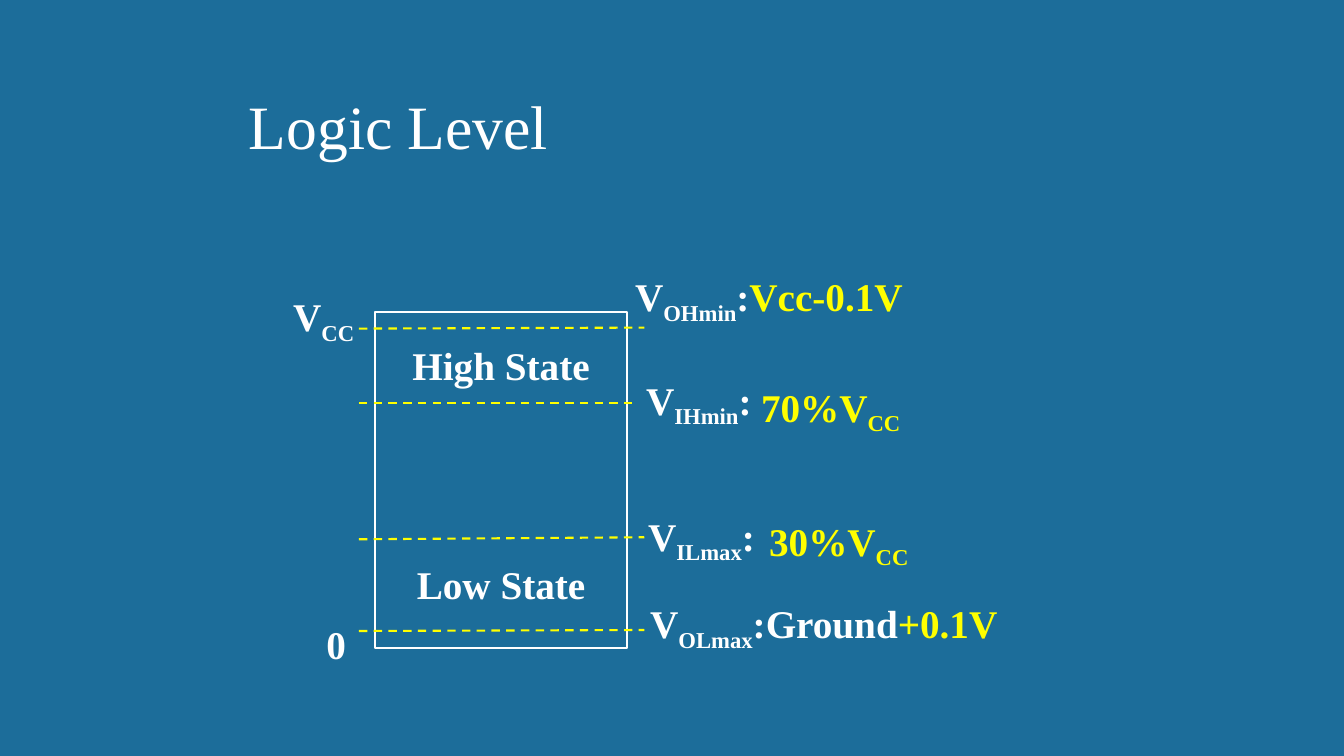
from pptx import Presentation
from pptx.dml.color import RGBColor
from pptx.enum import dml, shapes, text
from pptx.oxml import xmlchemy
from pptx.util import Inches, Pt

BLUE = RGBColor(0x1C, 0x6D, 0x9A)
WHITE = RGBColor(0xFF, 0xFF, 0xFF)
YELLOW = RGBColor(0xFF, 0xFF, 0x00)
FONT = "Times New Roman"
LABEL_SIZE, TITLE_SIZE = 28, 44
LINE_WIDTH = Pt(1.5)

TITLE = ("Logic Level", (2.37, 0.82, 3.2, 0.84))
LEVEL_RANGE = (3.72, 3.1, 2.5, 3.33)
STATES = [("High State", 1.5, 0), ("Low State", 1.1, 120)]
THRESHOLD_LEFT = 3.56
THRESHOLDS = [(3.26, 6.39, 3.25), (4, 6.31, 4), (5.35, 6.39, 5.33), (6.26, 6.39, 6.25)]

LABEL_HEIGHT = 0.57
LABELS = [
    (2.81, 2.85, 1.17, [("V", WHITE, False), ("CC", WHITE, True)]),
    (3.14, 6.1, 0.5, [("0", WHITE, False)]),
    (6.2, 2.65, 3.78, [("V", WHITE, False), ("OHmin", WHITE, True),
                       (":", WHITE, False), ("Vcc-0.1V", YELLOW, False)]),
    (6.31, 3.68, 1.36, [("V", WHITE, False), ("IHmin", WHITE, True), (":", WHITE, False)]),
    (7.45, 3.75, 2.33, [("70%V", YELLOW, False), ("CC", YELLOW, True)]),
    (6.33, 5.03, 1.37, [("V", WHITE, False), ("ILmax", WHITE, True), (":", WHITE, False)]),
    (7.53, 5.08, 2.42, [("30%V", YELLOW, False), ("CC", YELLOW, True)]),
    (6.35, 5.9, 4.44, [("V", WHITE, False), ("OLmax", WHITE, True),
                       (":Ground", WHITE, False), ("+0.1V", YELLOW, False)]),
]


def add_run(paragraph, words, color, subscript=False, size=LABEL_SIZE, bold=True):
    run = paragraph.add_run()
    run.text = words
    run.font.name = FONT
    run.font.size = Pt(size)
    run.font.bold = bold
    run.font.color.rgb = color
    if subscript:
        run.font._element.set("baseline", "-25000")


def add_label(slide, box, parts, **style):
    frame = slide.shapes.add_textbox(*map(Inches, box)).text_frame
    frame.word_wrap = True
    for words, color, subscript in parts:
        add_run(frame.paragraphs[0], words, color, subscript, **style)


def add_level_range(slide):
    level_range = slide.shapes.add_shape(
        shapes.MSO_SHAPE.RECTANGLE, *map(Inches, LEVEL_RANGE))
    level_range.shadow.inherit = False
    level_range.fill.background()
    level_range.line.color.rgb = WHITE
    level_range.line.width = LINE_WIDTH
    frame = level_range.text_frame
    frame.word_wrap = False
    frame.vertical_anchor = text.MSO_ANCHOR.TOP
    for index, (state, spacing, gap) in enumerate(STATES):
        paragraph = frame.add_paragraph() if index else frame.paragraphs[0]
        paragraph.alignment = text.PP_ALIGN.CENTER
        paragraph.line_spacing = spacing
        paragraph.space_before = Pt(gap)
        add_run(paragraph, state, WHITE)


def add_threshold(slide, start, right, end):
    threshold = slide.shapes.add_connector(
        shapes.MSO_CONNECTOR.STRAIGHT,
        *map(Inches, (THRESHOLD_LEFT, start, right, end)))
    threshold.line.color.rgb = YELLOW
    threshold.line.width = LINE_WIDTH
    threshold.line.dash_style = dml.MSO_LINE.DASH
    threshold._element.spPr.append(xmlchemy.OxmlElement("a:effectLst"))


def main():
    deck = Presentation()
    deck.slide_width, deck.slide_height = Inches(13.33), Inches(7.5)
    slide = deck.slides.add_slide(deck.slide_layouts[6])
    slide.background.fill.solid()
    slide.background.fill.fore_color.rgb = BLUE

    heading, heading_box = TITLE
    add_label(slide, heading_box, [(heading, WHITE, False)], size=TITLE_SIZE, bold=False)
    add_level_range(slide)
    for threshold in THRESHOLDS:
        add_threshold(slide, *threshold)
    for left, top, width, parts in LABELS:
        add_label(slide, (left, top, width, LABEL_HEIGHT), parts)
    deck.save("out.pptx")


if __name__ == "__main__":
    main()
